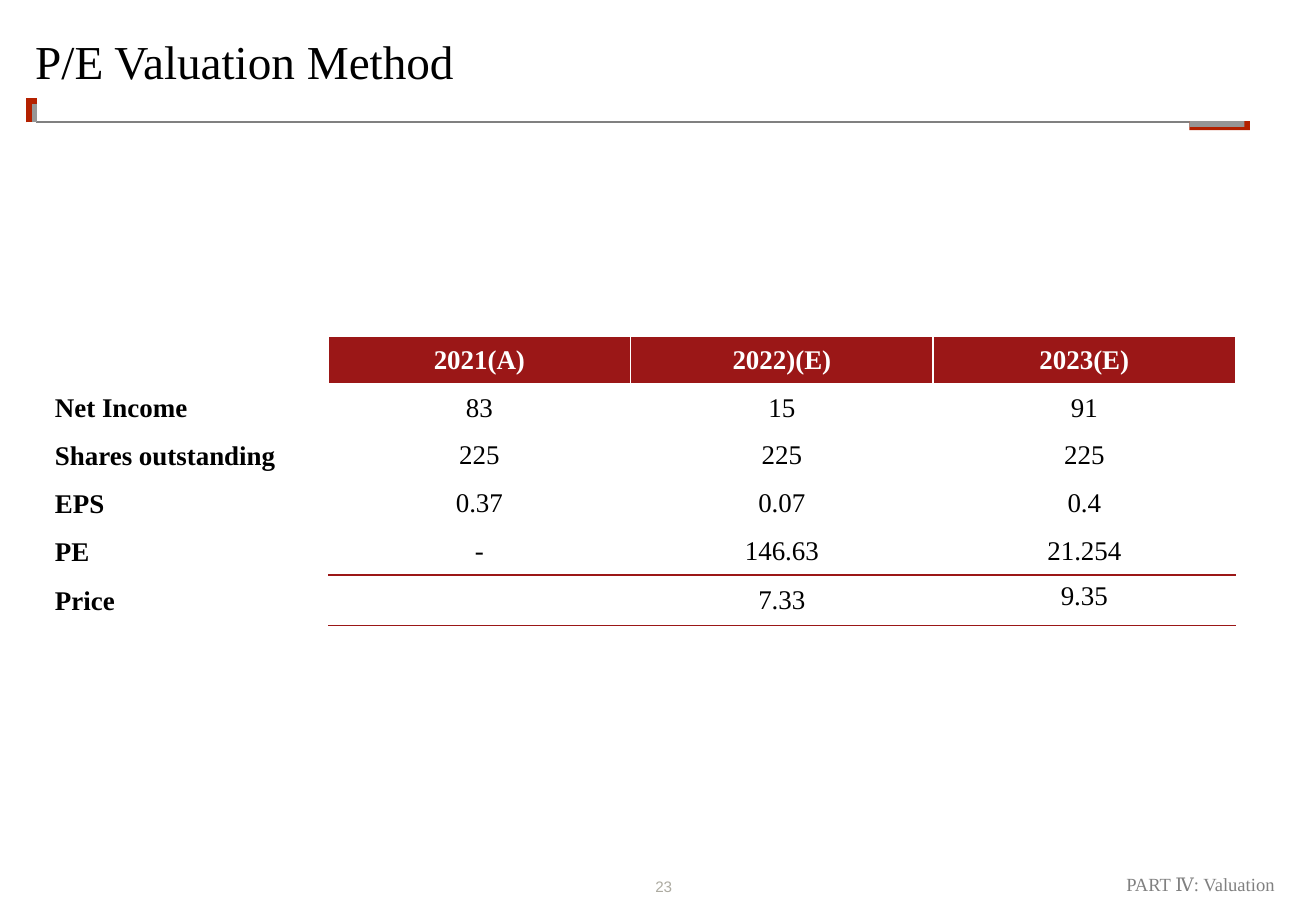
"""Builds the P/E valuation slide with its table of estimates."""
from lxml.etree import SubElement
from pptx import Presentation
from pptx.dml.color import RGBColor
from pptx.enum.shapes import MSO_CONNECTOR as CONNECTOR, MSO_SHAPE as SHAPE
from pptx.enum.text import MSO_ANCHOR as ANCHOR, PP_ALIGN as ALIGN
from pptx.oxml import parse_xml
from pptx.oxml.ns import nsdecls, qn
from pptx.util import Pt

COLORS = {"black": "000000", "white": "FFFFFF", "crimson": "9B1717", "red": "B42100",
          "rule": "808080", "gray": "969696", "number": "ADABA1"}
SERIF = "Times New Roman"
NO_STYLE = "{2D5ABB26-0587-4C30-8999-92F81FD0307C}"
VALUATION = [
    ["", "2021(A)", "2022)(E)", "2023(E)"],
    ["Net Income", "83", "15", "91"],
    ["Shares outstanding", "225", "225", "225"],
    ["EPS", "0.37", "0.07", "0.4"],
    ["PE", "-", "146.63", "21.254"],
    ["Price", "", "7.33", "9.35"],
]


def color(name):
    return RGBColor.from_string(COLORS[name])


def write(paragraph, text, size, tint, bold=False, font=SERIF, align=ALIGN.LEFT, spacing=None):
    paragraph.alignment = align
    if spacing:
        paragraph.line_spacing = spacing
    run = paragraph.add_run()
    run.text = text
    run.font.name, run.font.size, run.font.bold = font, Pt(size), bold
    run.font.color.rgb = color(tint)


def set_frame(frame, anchor=ANCHOR.TOP):
    frame.margin_left = frame.margin_right = frame.margin_top = frame.margin_bottom = 0
    frame.word_wrap = True
    frame.vertical_anchor = anchor


def add_title(slide, text):
    title = slide.shapes.title
    title.left, title.top, title.width, title.height = Pt(20.9), Pt(23), Pt(738), Pt(48.2)
    set_frame(title.text_frame)
    write(title.text_frame.paragraphs[0], text, 28, "black", spacing=0.9)


def add_label(slide, box, text, size, tint, anchor=ANCHOR.TOP, **style):
    label = slide.shapes.add_textbox(*map(Pt, box))
    set_frame(label.text_frame, anchor)
    write(label.text_frame.paragraphs[0], text, size, tint, **style)


def add_line(slide, ends, tint, width):
    line = slide.shapes.add_connector(CONNECTOR.STRAIGHT, *map(Pt, ends))
    line.line.color.rgb = color(tint)
    line.line.width = Pt(width)
    SubElement(line._element.spPr, qn("a:effectLst"))


def add_bar(slide, box, tint):
    bar = slide.shapes.add_shape(SHAPE.RECTANGLE, *map(Pt, box))
    bar.shadow.inherit = False
    bar.fill.solid()
    bar.fill.fore_color.rgb = color(tint)
    bar.line.fill.background()


def set_borders(cell, sides, tint):
    properties = cell._tc.get_or_add_tcPr()
    for position, side in enumerate(sides):
        properties.insert(position, parse_xml(
            f'<a:ln{side} {nsdecls("a")} w="{Pt(1)}"><a:solidFill>'
            f'<a:srgbClr val="{COLORS[tint]}"/></a:solidFill></a:ln{side}>'))


def fill_cell(cell, text, row, column):
    header, label = row == 0, column == 0
    last_row = len(VALUATION) - 1
    cell.vertical_anchor = ANCHOR.MIDDLE
    if (row, column) == (last_row, 3):
        cell.vertical_anchor = ANCHOR.TOP
    cell.margin_left = cell.margin_right = Pt(5.2)
    cell.margin_top = cell.margin_bottom = Pt(3 if label else 3.6) if text else 0
    if header and not label:
        cell.fill.solid()
        cell.fill.fore_color.rgb = color("crimson")
    else:
        cell.fill.background()
    if text:
        write(cell.text_frame.paragraphs[0], text, 16, "white" if header else "black",
              bold=header or label, align=ALIGN.LEFT if label else ALIGN.CENTER,
              spacing=1.06 if label else None)
    if header:
        set_borders(cell, "LRTB", "white")
    elif row == 1:
        set_borders(cell, "T", "white")
    elif not label and row == last_row - 1:
        set_borders(cell, "B", "crimson")
    elif not label and row == last_row:
        set_borders(cell, "TB", "crimson")


def add_valuation_table(slide):
    table = slide.shapes.add_table(len(VALUATION), len(VALUATION[0]),
                                   Pt(27.4), Pt(199.4), Pt(705), Pt(171.5)).table
    table.first_row = table.horz_banding = False
    table._tbl.tblPr.find(qn("a:tableStyleId")).text = NO_STYLE
    for column, width in zip(table.columns, [167.1, 179.3, 179.3, 179.3]):
        column.width = Pt(width)
    for row, height in zip(table.rows, [28.3] * 5 + [30]):
        row.height = Pt(height)
    for row, texts in enumerate(VALUATION):
        for column, text in enumerate(texts):
            fill_cell(table.cell(row, column), text, row, column)


def main():
    deck = Presentation()
    deck.slide_width, deck.slide_height = Pt(780), Pt(540)
    slide = deck.slides.add_slide(deck.slide_layouts[5])
    add_label(slide, (376, 520.4, 22.4, 10.4), "23", 9, "number", ANCHOR.BOTTOM,
              font="Arial", align=ALIGN.RIGHT)
    add_line(slide, (21.6, 72.2, 740, 72.2), "rule", 1)
    add_line(slide, (18.7, 72.5, 18.7, 58.2), "red", 6)
    add_line(slide, (20.4, 72.5, 20.4, 61.8), "gray", 3)
    add_bar(slide, (705, 71.8, 35.8, 5.4), "red")
    add_bar(slide, (705, 71.8, 32.6, 3.4), "gray")
    add_title(slide, "P/E Valuation Method")
    add_valuation_table(slide)
    add_label(slide, (667.6, 519.1, 96.5, 14.4), "PART Ⅳ: Valuation", 11, "rule", spacing=0.9)
    deck.save("out.pptx")


if __name__ == "__main__":
    main()
